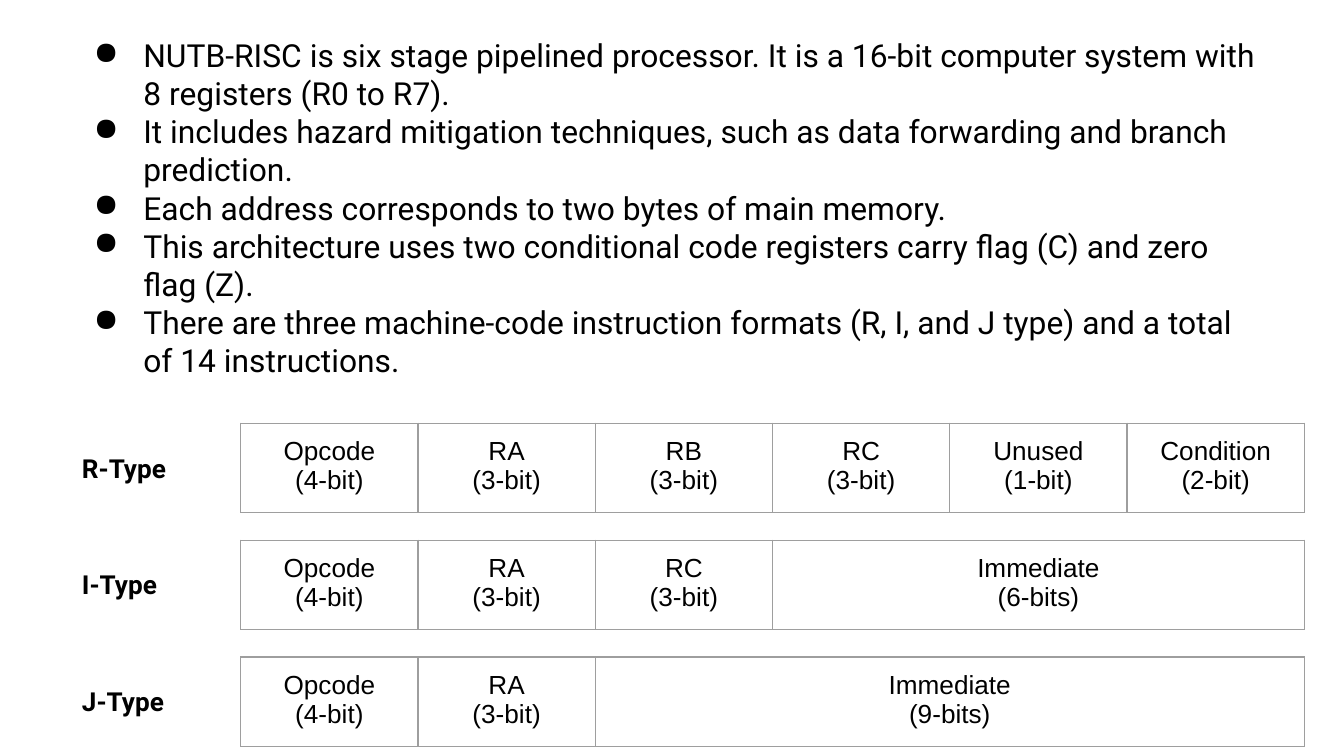
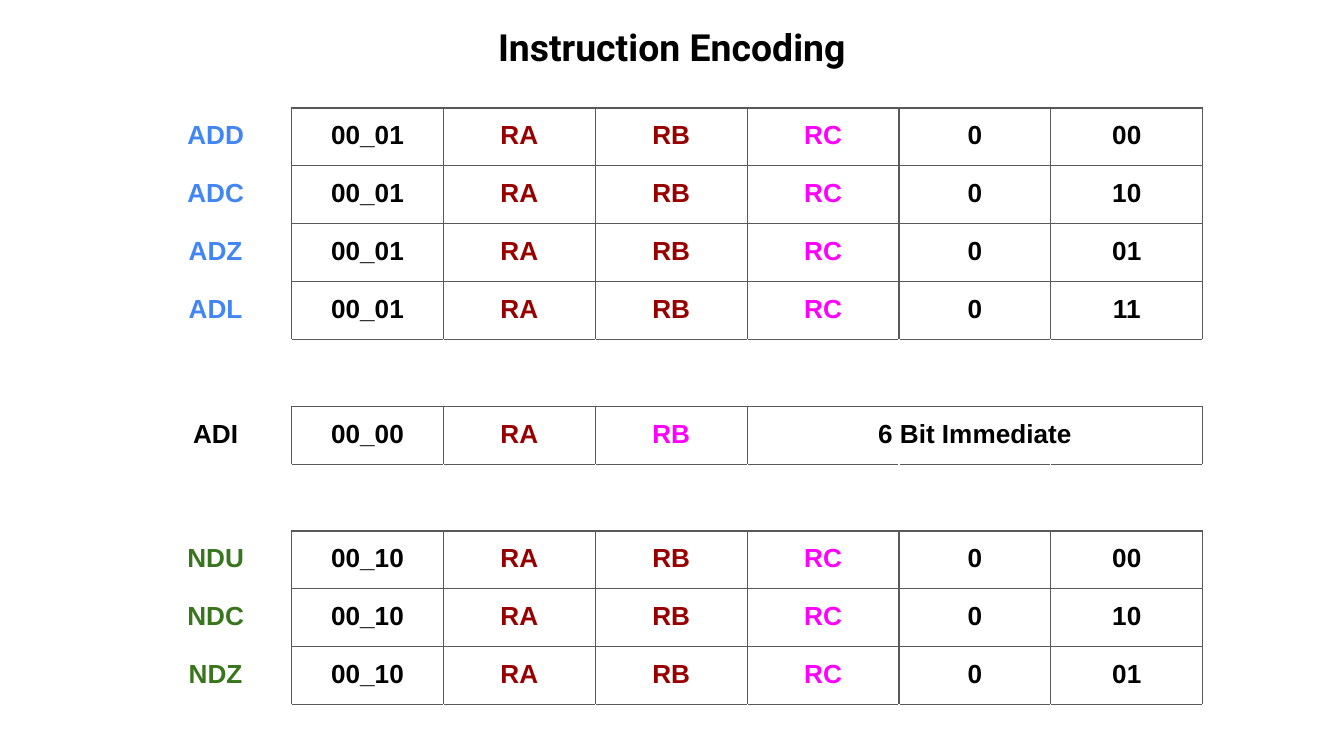
import dataclasses

import lxml.etree
import pptx
import pptx.dml.color
import pptx.enum.text
import pptx.oxml.ns
import pptx.util

Cm, Pt = pptx.util.Cm, pptx.util.Pt
qn = pptx.oxml.ns.qn
CENTER = pptx.enum.text.PP_ALIGN.CENTER


@dataclasses.dataclass(frozen=True)
class Theme:
    ink: str = "000000"
    paper: str = "FFFFFF"
    blue: str = "4285F4"
    green: str = "38761D"
    source: str = "980000"
    target: str = "FF00FF"
    pale: str = "9E9E9E"
    dark: str = "595959"
    head_font: str = "Roboto"
    cell_font: str = "Arial"
    head: float = 20
    body: float = 17
    cell: float = 14
    rule: float = 0.75
    inset: float = 0.25
    row: float = 1.07


THEME = Theme()

POINTS = [
    "NUTB-RISC is six stage pipelined processor. It is a 16-bit computer "
    "system with 8 registers (R0 to R7).",
    "It includes hazard mitigation techniques, such as data forwarding and "
    "branch prediction.",
    "Each address corresponds to two bytes of main memory.",
    "This architecture uses two conditional code registers carry flag (C) "
    "and zero flag (Z).",
    "There are three machine-code instruction formats (R, I, and J type) "
    "and a total of 14 instructions.",
]

FORMATS = {
    "R-Type": ["Opcode (4-bit)", "RA (3-bit)", "RB (3-bit)", "RC (3-bit)",
               "Unused (1-bit)", "Condition (2-bit)"],
    "I-Type": ["Opcode (4-bit)", "RA (3-bit)", "RC (3-bit)",
               "Immediate (6-bits)"],
    "J-Type": ["Opcode (4-bit)", "RA (3-bit)", "Immediate (9-bits)"],
}

# Each group: label colour, opcode, registers, then the tail of each code
GROUPS = [
    (THEME.blue, "00_01", ["RA", "RB", "RC"],
     {"ADD": ["0", "00"], "ADC": ["0", "10"],
      "ADZ": ["0", "01"], "ADL": ["0", "11"]}),
    (THEME.ink, "00_00", ["RA", "RB"], {"ADI": ["6 Bit Immediate"]}),
    (THEME.green, "00_10", ["RA", "RB", "RC"],
     {"NDU": ["0", "00"], "NDC": ["0", "10"], "NDZ": ["0", "01"]}),
]


def add_run(para, text, size, font, tint=THEME.ink, bold=False):
    run = para.add_run()
    run.text = text
    run.font.size = Pt(size)
    run.font.name = font
    run.font.bold = bold
    run.font.color.rgb = pptx.dml.color.RGBColor.from_string(tint)


def add_dot(para):
    props = para._p.get_or_add_pPr()
    props.set("marL", str(Cm(1.27)))
    props.set("indent", str(Cm(-0.94)))
    tint = lxml.etree.SubElement(props, qn("a:buClr"))
    lxml.etree.SubElement(tint, qn("a:srgbClr"), val=THEME.ink)
    lxml.etree.SubElement(props, qn("a:buChar"), char="●")


def add_text(slide, place, lines, size, bold=False, align=None, dots=False):
    frame = slide.shapes.add_textbox(*map(Cm, place)).text_frame
    frame.word_wrap = True
    frame.auto_size = pptx.enum.text.MSO_AUTO_SIZE.SHAPE_TO_FIT_TEXT
    frame.margin_left = frame.margin_right = Cm(THEME.inset)
    frame.margin_top = frame.margin_bottom = Cm(THEME.inset)
    for i, line in enumerate(lines):
        para = frame.add_paragraph() if i else frame.paragraphs[0]
        para.alignment = align
        if dots:
            add_dot(para)
        add_run(para, line, size, THEME.head_font, bold=bold)


def add_edge(cell, side, tint):
    line = lxml.etree.SubElement(cell._tc.get_or_add_tcPr(), qn("a:ln" + side),
                                 w=str(Pt(THEME.rule)))
    fill = lxml.etree.SubElement(line, qn("a:solidFill"))
    lxml.etree.SubElement(fill, qn("a:srgbClr"), val=tint)


def add_grid(slide, left, top, width, count, rows, tint, labels=0):
    """Rows hold (lines, colour, bold) cells; the last one fills the row.

    An empty row is a gap. Edges show only around the cells after the labels.
    """
    table = slide.shapes.add_table(
        len(rows), count, Cm(left), Cm(top),
        Cm(width * count), Cm(THEME.row * len(rows))).table
    table.first_row = table.horz_banding = False
    boxed = {(r, c) for r, row in enumerate(rows) if row
             for c in range(labels, count)}
    for r, row in enumerate(rows):
        for c in range(count):
            cell = table.cell(r, c)
            cell.margin_left = cell.margin_right = Cm(THEME.inset)
            cell.margin_top = cell.margin_bottom = Cm(THEME.inset)
            near = {"L": (r, c - 1), "R": (r, c + 1),
                    "T": (r - 1, c), "B": (r + 1, c)}
            for side, spot in near.items():
                shown = boxed & {(r, c), spot}
                add_edge(cell, side, tint if shown else THEME.paper)
            cell.fill.background()
        for c, (lines, ink, bold) in enumerate(row):
            cell = table.cell(r, c)
            for i, line in enumerate(lines):
                frame = cell.text_frame
                para = frame.add_paragraph() if i else frame.paragraphs[0]
                para.alignment = CENTER
                add_run(para, line, THEME.cell, THEME.cell_font, ink, bold)
        if row and len(row) < count:
            table.cell(r, len(row) - 1).merge(table.cell(r, count - 1))


def code_rows():
    rows = []
    for tint, code, regs, tails in GROUPS:
        for name, tail in tails.items():
            pairs = [(name, tint), (code, THEME.ink)]
            pairs += [(reg, THEME.source) for reg in regs[:-1]]
            pairs += [(regs[-1], THEME.target)]
            pairs += [(text, THEME.ink) for text in tail]
            rows.append([([text], ink, True) for text, ink in pairs])
        rows.append([])
    return rows


def add_formats(slide):
    add_text(slide, (1.19, 0.43, 23.01, 7.06), POINTS, THEME.body, dots=True)
    for i, (name, fields) in enumerate(FORMATS.items()):
        row = [(field.split(), THEME.ink, False) for field in fields]
        add_grid(slide, 4.55, 8 + 2.21 * i, 3.35, 6, [row], THEME.pale)
        add_text(slide, (1.3, 8.3 + 2.2 * i, 2.26, 1.12), [name],
                 THEME.cell, bold=True)


def add_codes(slide):
    add_text(slide, (2.49, 0.2, 20.42, 1.37), ["Instruction Encoding"],
             THEME.head, bold=True, align=CENTER)
    add_grid(slide, 2.64, 2.04, 2.87, 7, code_rows(), THEME.dark, labels=1)


def main():
    deck = pptx.Presentation()
    deck.slide_width, deck.slide_height = Cm(25.4), Cm(14.29)
    blank = deck.slide_layouts[6]
    add_formats(deck.slides.add_slide(blank))
    add_codes(deck.slides.add_slide(blank))
    deck.save("out.pptx")


if __name__ == "__main__":
    main()
